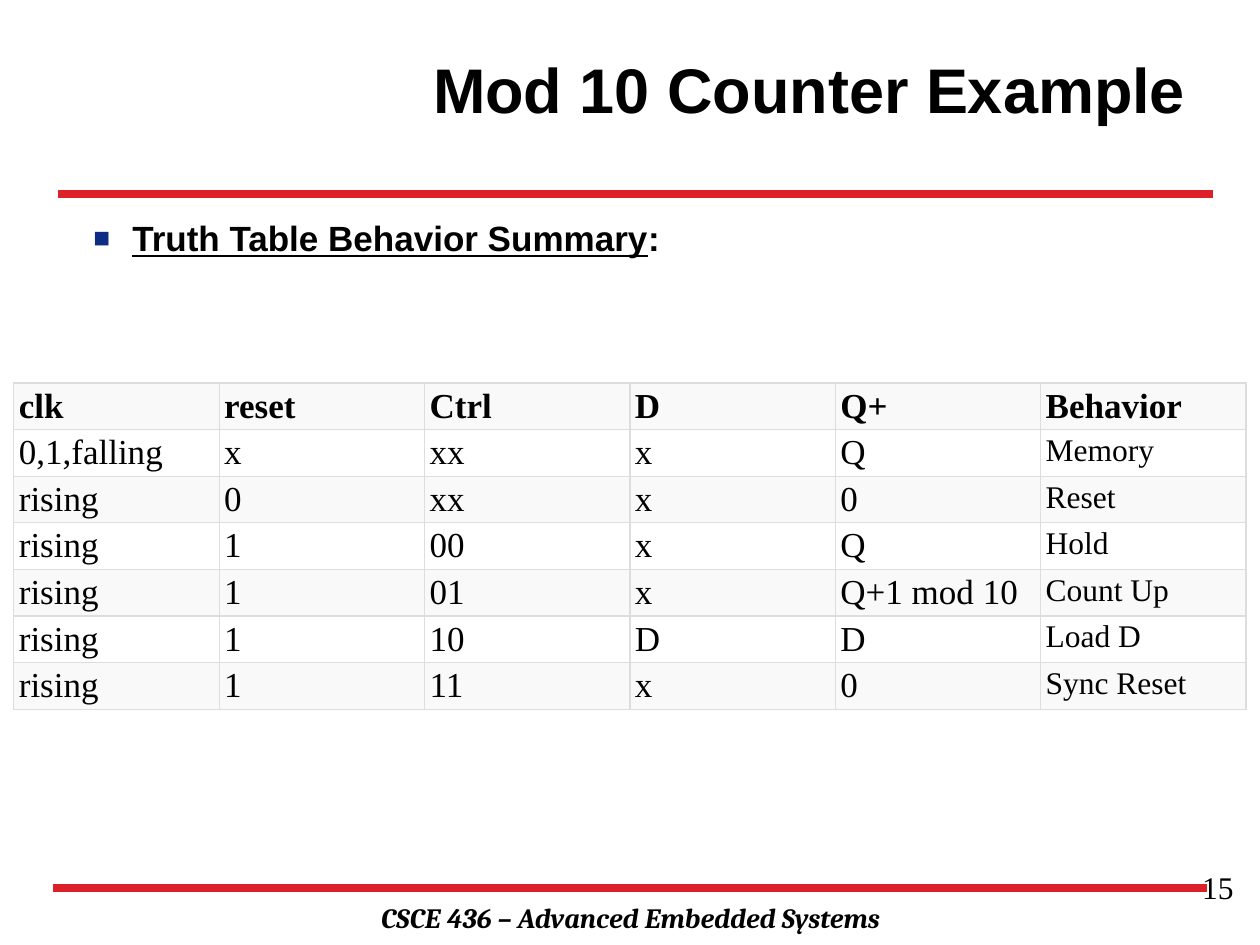
import collections

import lxml.etree
import pptx
import pptx.dml.color
import pptx.enum.shapes
import pptx.enum.text
import pptx.oxml
import pptx.oxml.ns
import pptx.util

BLACK = pptx.dml.color.RGBColor(0x00, 0x00, 0x00)
RED = pptx.dml.color.RGBColor(0xDD, 0x21, 0x2B)
NAVY = pptx.dml.color.RGBColor(0x0C, 0x2D, 0x83)
BORDER = pptx.dml.color.RGBColor(0xDD, 0xDD, 0xDD)
SHADED = pptx.dml.color.RGBColor(0xF9, 0xF9, 0xF9)
WHITE = pptx.dml.color.RGBColor(0xFF, 0xFF, 0xFF)

SLIDE_WIDTH = pptx.util.Inches(10)
SLIDE_HEIGHT = pptx.util.Inches(7.5)
# The slide is a grid of 100 columns by 75 rows
COLUMN = SLIDE_WIDTH / 100
ROW = SLIDE_HEIGHT / 75

Box = collections.namedtuple("Box", "left top width height")

TRUTH_TABLE = [
    ["clk", "reset", "Ctrl", "D", "Q+", "Behavior"],
    ["0,1,falling", "x", "xx", "x", "Q", "Memory"],
    ["rising", "0", "xx", "x", "0", "Reset"],
    ["rising", "1", "00", "x", "Q", "Hold"],
    ["rising", "1", "01", "x", "Q+1 mod 10", "Count Up"],
    ["rising", "1", "10", "D", "D", "Load D"],
    ["rising", "1", "11", "x", "0", "Sync Reset"],
]


def grid_box(left, top, width, height):
    return Box(round(left * COLUMN), round(top * ROW),
               round(width * COLUMN), round(height * ROW))


def add_run(paragraph, text, font, size, bold=False, italic=False, underline=False):
    run = paragraph.add_run()
    run.text = text
    run.font.name = font
    run.font.size = pptx.util.Pt(size)
    run.font.bold = bold
    run.font.italic = italic
    run.font.underline = underline
    run.font.color.rgb = BLACK


def place(shape, box):
    shape.left, shape.top, shape.width, shape.height = box
    shape.text_frame.word_wrap = True
    shape.text_frame.auto_size = pptx.enum.text.MSO_AUTO_SIZE.NONE


def add_rule(slide, box):
    line = slide.shapes.add_connector(
        pptx.enum.shapes.MSO_CONNECTOR.STRAIGHT,
        box.left, box.top, box.left + box.width, box.top + box.height)
    line.line.color.rgb = RED
    line.line.width = pptx.util.Pt(4.5)
    lxml.etree.SubElement(line._element.spPr, pptx.oxml.ns.qn("a:effectLst"))


def add_text_box(slide, box, alignment, text, font, size, **style):
    shape = slide.shapes.add_textbox(*box)
    place(shape, box)
    paragraph = shape.text_frame.paragraphs[0]
    paragraph.alignment = alignment
    add_run(paragraph, text, font, size, **style)


def fill_title(slide, box):
    title = slide.shapes.title
    place(title, box)
    title.text_frame.vertical_anchor = pptx.enum.text.MSO_ANCHOR.MIDDLE
    paragraph = title.text_frame.paragraphs[0]
    paragraph.alignment = pptx.enum.text.PP_ALIGN.RIGHT
    add_run(paragraph, "Mod 10 Counter Example", "Arial", 36, bold=True)


def set_square_bullet(paragraph):
    properties = paragraph._p.get_or_add_pPr()
    indent = pptx.util.Inches(0.31)
    properties.set("marL", str(indent))
    properties.set("indent", str(-indent))
    for xml in (f'<a:buClr {{}}><a:srgbClr val="{NAVY}"/></a:buClr>',
                '<a:buSzPct {} val="80000"/>',
                '<a:buFont {} typeface="Arial"/>',
                '<a:buChar {} char="■"/>'):
        properties.append(pptx.oxml.parse_xml(xml.format(pptx.oxml.ns.nsdecls("a"))))


def fill_body(slide, box):
    body = slide.placeholders[1]
    place(body, box)
    paragraph = body.text_frame.paragraphs[0]
    set_square_bullet(paragraph)
    add_run(paragraph, "Truth Table Behavior Summary", "Arial", 20,
            bold=True, underline=True)
    add_run(paragraph, ":", "Arial", 20, bold=True)


def set_borders(cell):
    properties = cell._tc.get_or_add_tcPr()
    for side in ("lnL", "lnR", "lnT", "lnB"):
        properties.append(pptx.oxml.parse_xml(
            f'<a:{side} {pptx.oxml.ns.nsdecls("a")} w="{pptx.util.Pt(0.75)}">'
            f'<a:solidFill><a:srgbClr val="{BORDER}"/></a:solidFill></a:{side}>'))


def add_truth_table(slide, box):
    row_count, column_count = len(TRUTH_TABLE), len(TRUTH_TABLE[0])
    table = slide.shapes.add_table(row_count, column_count, *box).table
    for column in table.columns:
        column.width = box.width // column_count
    for row in table.rows:
        row.height = box.height // row_count
    for row_index, values in enumerate(TRUTH_TABLE):
        for column_index, value in enumerate(values):
            cell = table.cell(row_index, column_index)
            set_borders(cell)
            cell.fill.solid()
            cell.fill.fore_color.rgb = WHITE if row_index % 2 else SHADED
            cell.margin_left = cell.margin_right = pptx.util.Inches(0.04)
            cell.margin_top = cell.margin_bottom = pptx.util.Inches(0.03)
            is_header = row_index == 0
            is_behavior = column_index == column_count - 1
            size = 18 if is_behavior and not is_header else 20
            add_run(cell.text_frame.paragraphs[0], value, "Times New Roman", size,
                    bold=is_header)


def add_footer(slide, box):
    # Rule on top, course name in the middle, page number at the right
    row, column = box.height / 7, box.width / 100
    add_rule(slide, Box(round(4.2 * column), round(box.top + 2.1 * row),
                        round(91.6 * column), 0))
    add_text_box(slide, Box(round(14.2 * column), round(box.top + 2.6 * row),
                            round(71.7 * column), round(3.7 * row)),
                 pptx.enum.text.PP_ALIGN.CENTER,
                 "CSCE 436 – Advanced Embedded Systems", "Cambria", 16,
                 bold=True, italic=True)
    add_text_box(slide, Box(round(75.6 * column), box.top,
                            round(23.3 * column), round(5.2 * row)),
                 pptx.enum.text.PP_ALIGN.RIGHT, "15", "Times New Roman", 18)


def main():
    presentation = pptx.Presentation()
    presentation.slide_width = SLIDE_WIDTH
    presentation.slide_height = SLIDE_HEIGHT
    slide = presentation.slides.add_slide(presentation.slide_layouts[1])

    add_footer(slide, grid_box(0, 68.4, 100, 7))
    add_rule(slide, grid_box(4.6, 15.4, 91.7, 0))
    fill_title(slide, grid_box(20.9, 0.8, 74.2, 12.5))
    fill_body(slide, grid_box(6.4, 16.7, 88.9, 47.3))
    add_truth_table(slide, grid_box(1.1, 30.4, 97.8, 25.9))

    presentation.save("out.pptx")


if __name__ == "__main__":
    main()
